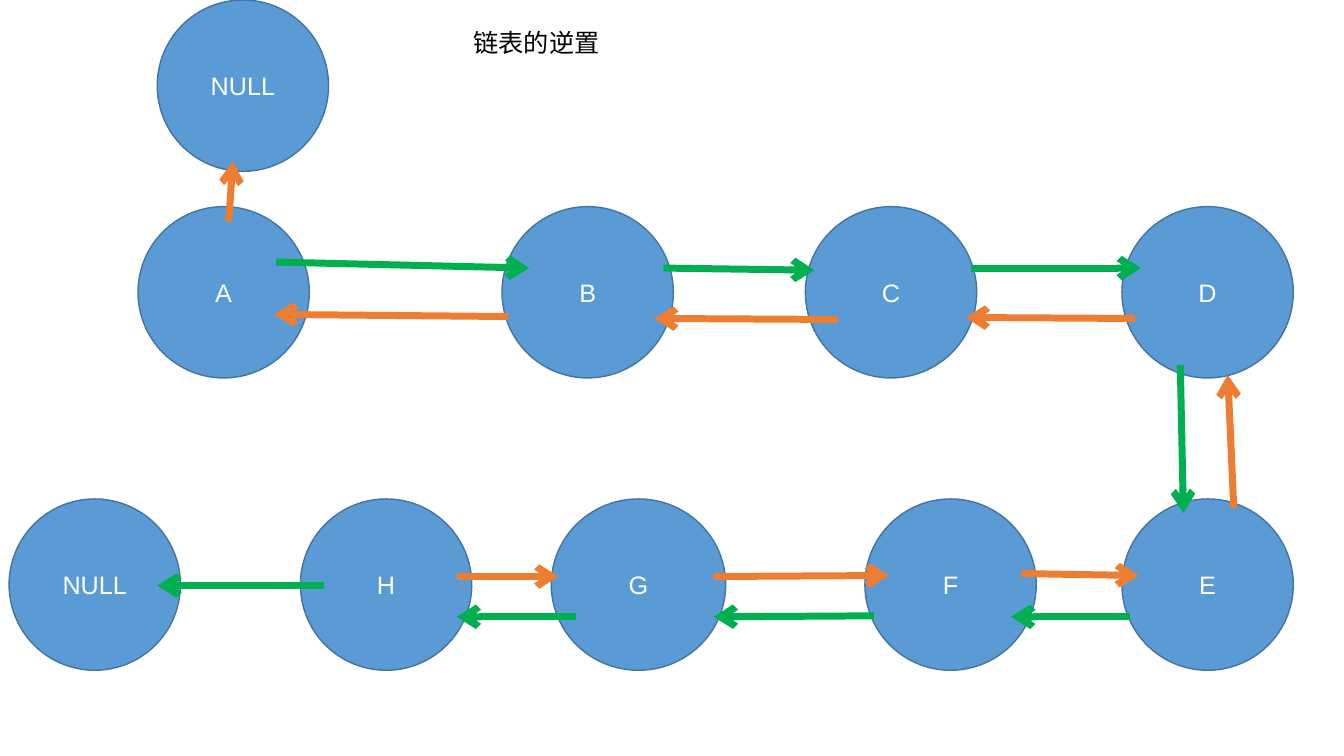
import dataclasses

import lxml.etree
import pptx
import pptx.dml.color
import pptx.enum.shapes
import pptx.enum.text
import pptx.oxml.ns
import pptx.util

Pt = pptx.util.Pt
rgb = pptx.dml.color.RGBColor.from_string
qn = pptx.oxml.ns.qn


@dataclasses.dataclass(frozen=True)
class Theme:
    """Colours, type and stroke sizes of the slide."""
    node: str = "5B9BD5"
    node_edge: str = "43739E"
    node_text: str = "FFFFFF"
    title: str = "000000"
    forward: str = "00B050"
    reverse: str = "ED7D31"
    font: str = "Arial"
    text_size: float = 18
    edge_width: float = 1
    link_width: float = 5
    diameter: float = 122.4


THEME = Theme()


def set_text(frame, text, color):
    """Write one line of text in the theme's type."""
    frame.word_wrap = True
    paragraph = frame.paragraphs[0]
    paragraph.text = text
    paragraph.font.name = THEME.font
    paragraph.font.size = Pt(THEME.text_size)
    paragraph.font.color.rgb = rgb(color)
    return paragraph


def add_title(slide, box, text):
    """Place the heading in box (left, top, width, height)."""
    heading = slide.shapes.add_textbox(*map(Pt, box))
    set_text(heading.text_frame, text, THEME.title)


def add_node(slide, left, top, label, width=THEME.diameter):
    """Draw one list node with its label in the middle."""
    node = slide.shapes.add_shape(
        pptx.enum.shapes.MSO_SHAPE.OVAL,
        Pt(left), Pt(top), Pt(width), Pt(THEME.diameter))
    node.shadow.inherit = False
    node.fill.solid()
    node.fill.fore_color.rgb = rgb(THEME.node)
    node.line.color.rgb = rgb(THEME.node_edge)
    node.line.width = Pt(THEME.edge_width)
    node.text_frame.vertical_anchor = pptx.enum.text.MSO_ANCHOR.MIDDLE
    paragraph = set_text(node.text_frame, label, THEME.node_text)
    paragraph.alignment = pptx.enum.text.PP_ALIGN.CENTER


def add_links(slide, origin, color, links):
    """Draw arrows given as (x1, y1, x2, y2) relative to origin."""
    left, top = origin
    for x1, y1, x2, y2 in links:
        link = slide.shapes.add_connector(
            pptx.enum.shapes.MSO_CONNECTOR.STRAIGHT,
            Pt(left + x1), Pt(top + y1), Pt(left + x2), Pt(top + y2))
        link.line.color.rgb = rgb(color)
        link.line.width = Pt(THEME.link_width)
        lxml.etree.SubElement(link.line._get_or_add_ln(), qn("a:tailEnd"), type="arrow")
        lxml.etree.SubElement(link._element.spPr, qn("a:effectLst"))


def add_row(slide, origin, nodes, forward, reverse):
    """Draw a row of nodes (label, x, optional width) and its two sets of links."""
    left, top = origin
    for label, x, *width in nodes:
        add_node(slide, left + x, top, label, *width)
    add_links(slide, origin, THEME.forward, forward)
    add_links(slide, origin, THEME.reverse, reverse)


def add_turn(slide, origin):
    """Draw the pair of links between D and E, with origin at D's corner."""
    add_links(slide, origin, THEME.forward, [(41.7, 113, 43.9, 218.9)])
    add_links(slide, origin, THEME.reverse, [(79.9, 215.3, 75.6, 120.2)])


def add_new_tail(slide, origin):
    """Draw the NULL node at origin and the reversed link from A up to it."""
    add_node(slide, *origin, "NULL")
    add_links(slide, origin, THEME.reverse, [(51.1, 158.4, 54, 115.2)])


def build_slide(slide):
    """Lay out the linked list and its reversal."""
    add_row(
        slide, (98.6, 147.6),
        nodes=[("A", 0), ("B", 260), ("C", 476.7), ("D", 702.8)],
        forward=[(98.7, 39.6, 279.4, 43.9),
                 (375.2, 43.9, 483.2, 45.4),
                 (594.8, 43.9, 716.4, 43.9)],
        reverse=[(264.3, 78.5, 97.2, 77),
                 (499.7, 80.6, 368.7, 79.9),
                 (712.1, 79.9, 591.2, 79.2)])
    add_row(
        slide, (6.5, 356.4),
        nodes=[("NULL", 0), ("H", 208.1), ("G", 387.3, 124.6),
               ("F", 611.3), ("E", 794.9)],
        forward=[(800.6, 84.2, 715.7, 84.2),
                 (617.7, 83.5, 503.3, 84.2),
                 (404.6, 84.2, 319.7, 84.2),
                 (224.6, 61.9, 105.8, 61.9)],
        reverse=[(319.7, 55.4, 392.4, 55.4),
                 (503.3, 55.4, 628.5, 54.7),
                 (722.9, 53.3, 807.1, 54.7)])
    add_turn(slide, (801.4, 147.6))
    add_new_tail(slide, (112.3, 0))
    add_title(slide, (331.2, 15.8, 298, 28.8), "链表的逆置")


presentation = pptx.Presentation()
presentation.slide_width = Pt(960)
presentation.slide_height = Pt(540)
build_slide(presentation.slides.add_slide(presentation.slide_layouts[6]))
presentation.save("out.pptx")
